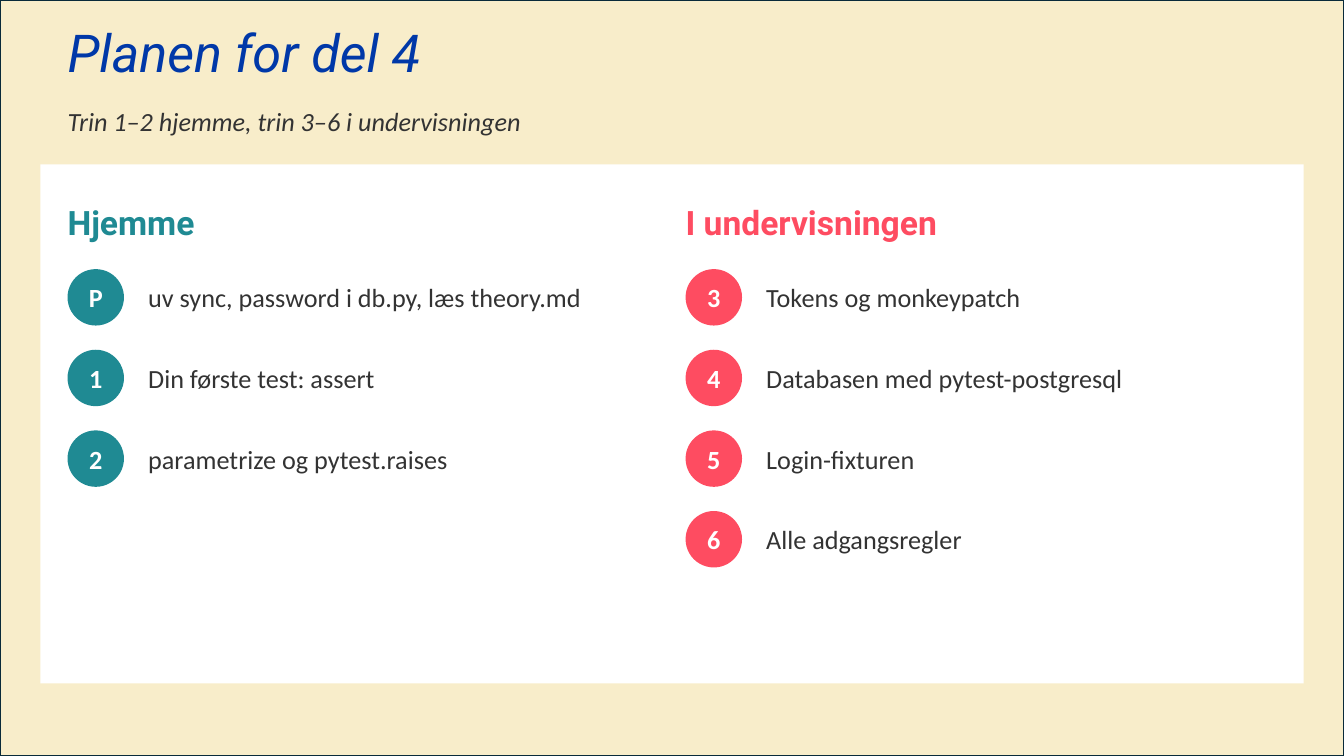
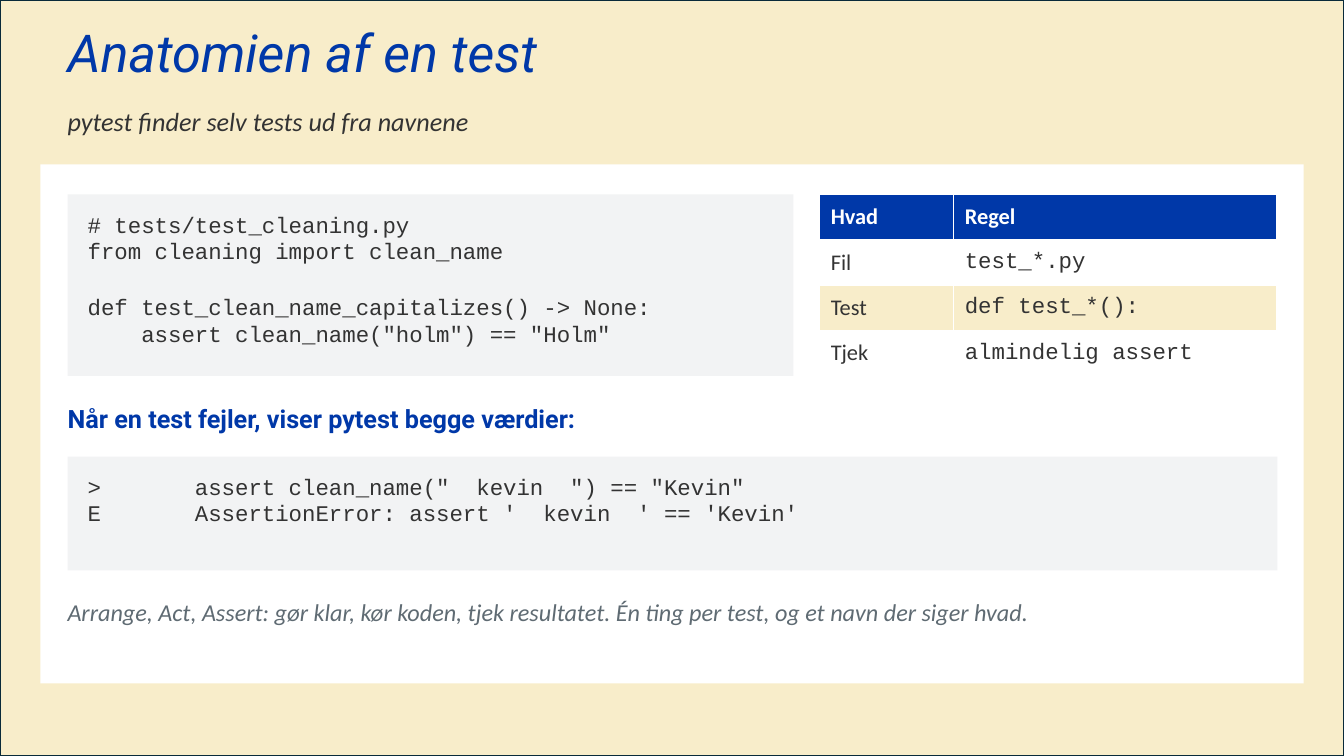
from pptx import Presentation
from pptx.dml.color import RGBColor
from pptx.enum import shapes, text
from pptx.util import Inches, Pt

HUES = {
    "sand": "F8EDCA", "edge": "092A39", "white": "FFFFFF", "blue": "0038A8",
    "ink": "333333", "teal": "1F8A93", "red": "FE4C61", "pale": "F2F3F4",
    "gray": "5F6B73",
}
BODY = {"name": "Calibri", "size": 18.7, "hue": "ink"}
HEAD = {"name": "Roboto", "size": 24, "bold": True}
CODE = {"name": "Courier New", "size": 16, "hue": "ink"}
TITLE = {"name": "Roboto", "size": 37.3, "italic": True, "hue": "blue"}
CELL = {**BODY, "size": 16}
LEFT, WIDE = 0.67, 12
CARD = (0.4, 1.63, 12.53, 5.15)
RECT = shapes.MSO_SHAPE.RECTANGLE
OVAL = shapes.MSO_SHAPE.OVAL
TOP, MIDDLE = text.MSO_ANCHOR.TOP, text.MSO_ANCHOR.MIDDLE
ALIGN = text.PP_ALIGN


def rgb(hue):
    return RGBColor.from_string(HUES[hue])


def write(frame, words, style, align=ALIGN.LEFT):
    """Fill a frame line by line; an empty line becomes space before the next."""
    gap, first = 0, True
    for line in words.split("\n"):
        if not line:
            gap += 20.4
            continue
        para = frame.paragraphs[0] if first else frame.add_paragraph()
        para.alignment = align
        if gap:
            para.space_before = Pt(gap)
        gap, first = 0, False
        run = para.add_run()
        run.text = line
        for key, value in style.items():
            if key == "hue":
                run.font.color.rgb = rgb(value)
            else:
                setattr(run.font, key, Pt(value) if key == "size" else value)


def setup(frame, anchor=TOP):
    format = {"word_wrap": True, "vertical_anchor": anchor, "margin_left": 0,
              "margin_top": 0, "margin_right": 0, "margin_bottom": 0}
    for key, value in format.items():
        setattr(frame, key, value)
    return frame


def label(slide, box, words, style, anchor=TOP):
    area = slide.shapes.add_textbox(*map(Inches, box))
    write(setup(area.text_frame, anchor), words, style)


def block(slide, box, hue, kind=RECT):
    part = slide.shapes.add_shape(kind, *map(Inches, box))
    part.shadow.inherit = False
    part.fill.solid()
    part.fill.fore_color.rgb = rgb(hue)
    part.line.fill.background()
    return part


def backdrop(deck, slide, layout):
    """Put the framed sand background on the layout, behind everything."""
    back = block(slide, (0, 0, 13.33, 7.5), "sand")
    back.width, back.height = deck.slide_width, deck.slide_height
    back.line.color.rgb = rgb("edge")
    back.line.width = Pt(1.5)
    layout.shapes.element.insert(2, back.element)


def page(slide, title, intro):
    """Title, white card and intro line."""
    head = slide.shapes.title
    head.left, head.top, head.width, head.height = map(
        Inches, (LEFT, 0.27, WIDE, 0.73))
    write(setup(head.text_frame), title, TITLE)
    head.text_frame.paragraphs[0].line_spacing = 0.9
    block(slide, CARD, "white")
    label(slide, (LEFT, 1.04, WIDE, 0.47), intro, {**BODY, "italic": True})


def steps(slide, left, top, name, hue, items):
    """Heading over a column of numbered discs."""
    size, pitch = 0.56, 0.8
    label(slide, (left, top, 5.73, 0.53), name, {**HEAD, "hue": hue})
    for row, (mark, words) in enumerate(items):
        y = top + 0.67 + row * pitch
        disc = block(slide, (left, y, size, size), hue, OVAL)
        write(setup(disc.text_frame, MIDDLE), mark,
              {**BODY, "bold": True, "hue": "white"}, ALIGN.CENTER)
        disc.text_frame.word_wrap = False
        label(slide, (left + pitch, y, 5.07, size), words, BODY, MIDDLE)


def code(slide, box, words):
    """Code on a pale panel."""
    left, top, width, height = box
    block(slide, box, "pale")
    label(slide, (left + 0.2, top + 0.16, width - 0.4, height - 0.27),
          words, CODE)


def rules(slide, left, top, rows):
    """Table with a blue header and sand stripes."""
    widths, height = (1.33, 3.2), 0.45
    table = slide.shapes.add_table(
        len(rows), len(widths), *map(
            Inches, (left, top, sum(widths), height * len(rows)))).table
    for col, width in enumerate(widths):
        table.columns[col].width = Inches(width)
    for row, words in enumerate(rows):
        for col, word in enumerate(words):
            cell = table.cell(row, col)
            cell.vertical_anchor = MIDDLE
            cell.margin_left = cell.margin_right = Inches(0.11)
            cell.margin_top = cell.margin_bottom = Inches(0.04)
            cell.fill.solid()
            if row == 0:
                hue, style = "blue", {**CELL, "bold": True, "hue": "white"}
            else:
                hue = "white" if row % 2 else "sand"
                style = CODE if col else CELL
            cell.fill.fore_color.rgb = rgb(hue)
            write(cell.text_frame, word, style)


def plan(slide):
    page(slide, "Planen for del 4", "Trin 1–2 hjemme, trin 3–6 i undervisningen")
    steps(slide, LEFT, 2, "Hjemme", "teal", [
        ("P", "uv sync, password i db.py, læs theory.md"),
        ("1", "Din første test: assert"),
        ("2", "parametrize og pytest.raises"),
    ])
    steps(slide, 6.8, 2, "I undervisningen", "red", [
        ("3", "Tokens og monkeypatch"),
        ("4", "Databasen med pytest-postgresql"),
        ("5", "Login-fixturen"),
        ("6", "Alle adgangsregler"),
    ])


def anatomy(slide):
    page(slide, "Anatomien af en test", "pytest finder selv tests ud fra navnene")
    code(slide, (LEFT, 1.93, 7.2, 1.8), """# tests/test_cleaning.py
from cleaning import clean_name

def test_clean_name_capitalizes() -> None:
    assert clean_name("holm") == "Holm\"""")
    rules(slide, 8.13, 1.93, [
        ("Hvad", "Regel"),
        ("Fil", "test_*.py"),
        ("Test", "def test_*():"),
        ("Tjek", "almindelig assert"),
    ])
    label(slide, (LEFT, 4, WIDE, 0.47),
          "Når en test fejler, viser pytest begge værdier:",
          {**HEAD, "size": 18, "hue": "blue"})
    code(slide, (LEFT, 4.53, WIDE, 1.13),
         """>       assert clean_name("  kevin  ") == "Kevin"
E       AssertionError: assert '  kevin  ' == 'Kevin'""")
    label(slide, (LEFT, 5.93, WIDE, 0.67),
          "Arrange, Act, Assert: gør klar, kør koden, tjek resultatet. "
          "Én ting per test, og et navn der siger hvad.",
          {**BODY, "size": 17.3, "italic": True, "hue": "gray"})


def main():
    deck = Presentation()
    deck.slide_width, deck.slide_height = Inches(13.33), Inches(7.5)
    layout = deck.slide_layouts[5]
    first, second = (deck.slides.add_slide(layout) for _ in range(2))
    backdrop(deck, first, layout)
    plan(first)
    anatomy(second)
    deck.save("out.pptx")


if __name__ == "__main__":
    main()
